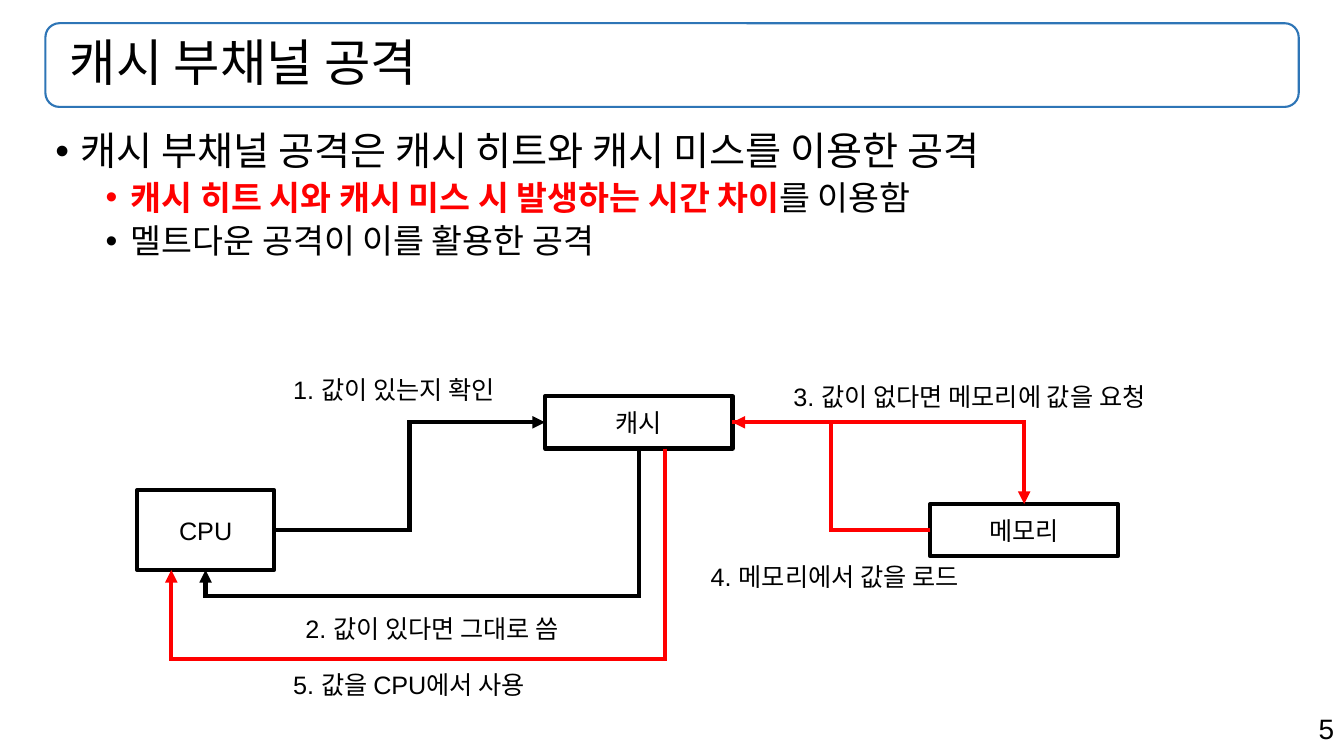
"""Build the slide that explains the cache side-channel attack."""
from lxml import etree
from pptx import Presentation, util as u
from pptx.dml.color import RGBColor
from pptx.enum import shapes, text
from pptx.oxml.ns import qn

THEME = {
    "ink": RGBColor(0, 0, 0), "alert": RGBColor(255, 0, 0), "frame": RGBColor(0x2E, 0x75, 0xB6),
    "font": "Arial", "title": 36, "point": 28, "subpoint": 24, "label": 18, "page": 20,
    "thin": 1.5, "thick": 3,
}
INK, ALERT = THEME["ink"], THEME["alert"]
MIDDLE, TOP = text.MSO_ANCHOR.MIDDLE, text.MSO_ANCHOR.TOP

deck = Presentation()
deck.slide_width, deck.slide_height = u.Inches(13.33), u.Inches(7.5)
slide = deck.slides.add_slide(deck.slide_layouts[6])
canvas = slide.shapes


def area(*percents):
    """Turn percent shares, alternately of slide width and height, into lengths."""
    sides = (deck.slide_width, deck.slide_height)
    return [u.Emu(round(share / 100 * sides[i % 2])) for i, share in enumerate(percents)]


def write(paragraph, words, size, color=INK, bold=False):
    """Add a run in the slide's font."""
    run = paragraph.add_run()
    run.text = words
    run.font.color.rgb = color
    for key, value in {"name": THEME["font"], "size": u.Pt(THEME[size]), "bold": bold}.items():
        setattr(run.font, key, value)


panel_area = area(3.38, 3.07, 93.25, 11.07)
panel = canvas.add_shape(shapes.MSO_SHAPE.ROUNDED_RECTANGLE, *panel_area)
panel.shadow.inherit = False
panel.fill.background()
panel.line.color.rgb = THEME["frame"]
panel.line.width = u.Pt(THEME["thin"])

heading = canvas.add_textbox(*panel_area).text_frame
for key, value in {"word_wrap": True, "vertical_anchor": MIDDLE, "margin_left": u.Inches(0.24)}.items():
    setattr(heading, key, value)
heading.paragraphs[0].line_spacing = 0.9
write(heading.paragraphs[0], "캐시 부채널 공격", "title")

summary = canvas.add_textbox(*area(3.38, 16.8, 93.25, 73.73)).text_frame
summary.word_wrap = True
points = [
    (0, 0, "point", [("캐시 부채널 공격은 캐시 히트와 캐시 미스를 이용한 공격", INK, False)]),
    (1, 5, "subpoint", [("캐시 히트 시와 캐시 미스 시 발생하는 시간 차이", ALERT, True),
                        ("를 이용함", INK, False)]),
    (1, 5, "subpoint", [("멜트다운 공격이 이를 활용한 공격", INK, False)]),
]
for number, (level, gap, size, parts) in enumerate(points):
    point = summary.add_paragraph() if number else summary.paragraphs[0]
    props = point._p.get_or_add_pPr()
    props.set("marL", str(u.Inches(0.25 + 0.5 * level)))
    props.set("indent", str(-u.Inches(0.25)))
    etree.SubElement(props, qn("a:buFont"), typeface=THEME["font"])
    etree.SubElement(props, qn("a:buChar"), char="•")
    for key, value in {"level": level, "line_spacing": 0.9, "space_before": u.Pt(gap)}.items():
        setattr(point, key, value)
    for words, color, bold in parts:
        write(point, words, size, color, bold)

LOWER_ROW, UPPER_ROW = 70.13, 55.87
nodes = {}
for name, center, row, width, height in [
    ("CPU", 15.3, LOWER_ROW, 10.2, 10.53),
    ("캐시", 47.53, UPPER_ROW, 13.95, 6.93),
    ("메모리", 76.2, LOWER_ROW, 13.95, 6.93),
]:
    node = canvas.add_shape(shapes.MSO_SHAPE.RECTANGLE,
                            *area(center - width / 2, row - height / 2, width, height))
    node.shadow.inherit = False
    node.fill.background()
    node.line.color.rgb = INK
    node.line.width = u.Pt(THEME["thick"])
    node.text_frame.vertical_anchor = MIDDLE
    node.text_frame.paragraphs[0].alignment = text.PP_ALIGN.CENTER
    write(node.text_frame.paragraphs[0], name, "label")
    nodes[name] = node

flows = []
for source, exit_side, target, entry_side, color in [
    ("CPU", 3, "캐시", 1, INK),
    ("메모리", 1, "캐시", 3, ALERT),
]:
    elbow = canvas.add_connector(shapes.MSO_CONNECTOR.ELBOW, 0, 0, 0, 0)
    elbow.begin_connect(nodes[source], exit_side)
    elbow.end_connect(nodes[target], entry_side)
    flows.append((elbow, color))

CACHE_BOTTOM, CPU_BOTTOM = 59.33, 75.4
for corners, color in [
    ([(47.53, CACHE_BOTTOM), (47.53, 78.8), (15.3, 78.8), (15.3, CPU_BOTTOM)], INK),
    ([(54.5, UPPER_ROW), (76.2, UPPER_ROW), (76.2, 66.67)], ALERT),
    ([(49.5, CACHE_BOTTOM), (49.5, 87.2), (12.75, 87.2), (12.75, CPU_BOTTOM)], ALERT),
]:
    start, *turns = [area(*corner) for corner in corners]
    route = canvas.build_freeform(*start)
    route.add_line_segments(turns, close=False)
    bend = route.convert_to_shape()
    bend.fill.background()
    flows.append((bend, color))

for flow, color in flows:
    flow.line.color.rgb = color
    flow.line.width = u.Pt(THEME["thick"])
    outline = flow._element.spPr.find(qn("a:ln"))
    etree.SubElement(outline, qn("a:miter"), lim="800000")
    etree.SubElement(outline, qn("a:tailEnd"), type="triangle")
    etree.SubElement(flow._element.spPr, qn("a:effectLst"))

LEFT, RIGHT = text.PP_ALIGN.LEFT, text.PP_ALIGN.RIGHT
for left, top, width, words, size, alignment in [
    (21.08, 48.8, 17.93, "1. 값이 있는지 확인", "label", LEFT),
    (21.98, 80.53, 22.73, "2. 값이 있다면 그대로 씀", "label", LEFT),
    (58.29, 49.73, 30.31, "3. 값이 없다면 메모리에 값을 요청", "label", LEFT),
    (52.14, 73.6, 22.21, "4. 메모리에서 값을 로드", "label", LEFT),
    (21.08, 87.87, 20.03, "5. 값을 CPU에서 사용", "label", LEFT),
    (70.74, 93.47, 29.26, "5", "page", RIGHT),
]:
    caption = canvas.add_textbox(*area(left, top, width, 5.33)).text_frame
    caption.word_wrap = True
    caption.vertical_anchor = TOP
    caption.paragraphs[0].alignment = alignment
    write(caption.paragraphs[0], words, size)

deck.save("out.pptx")
